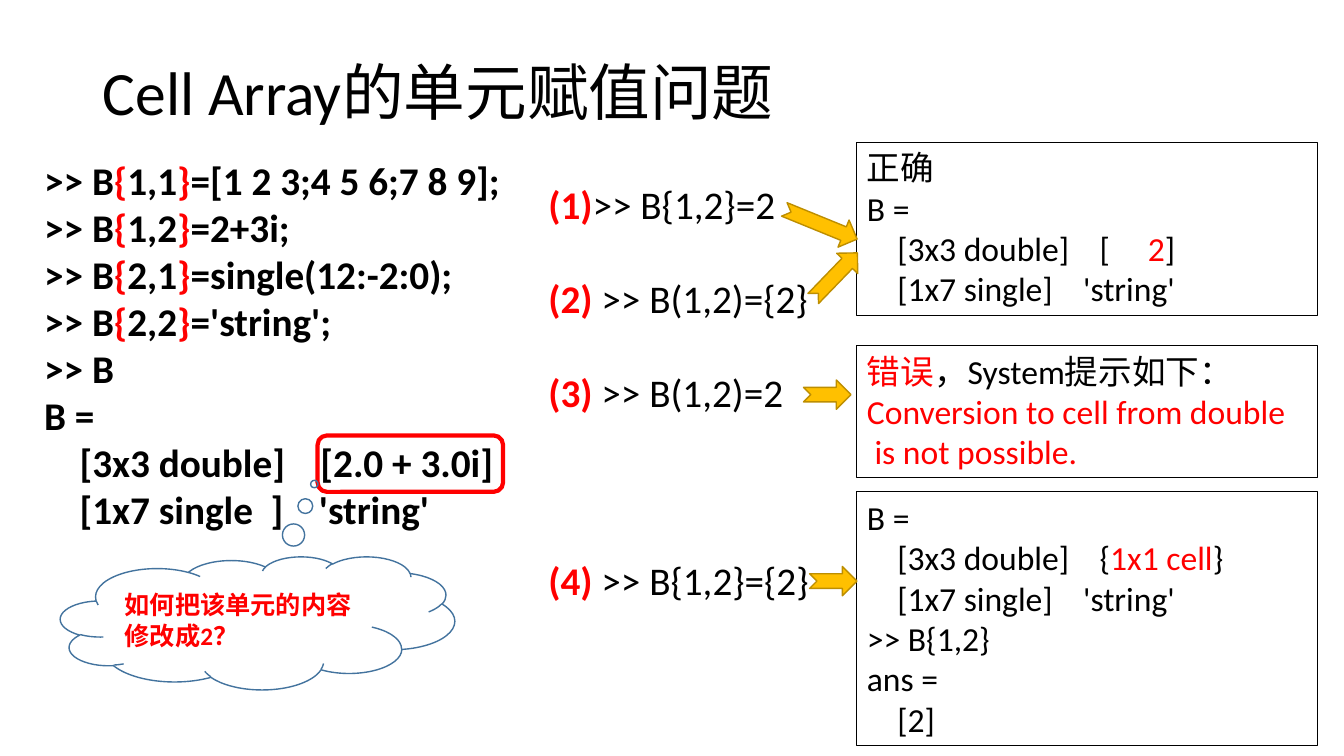
from dataclasses import dataclass
from pptx import Presentation
from pptx.dml.color import RGBColor
from pptx.enum.shapes import MSO_SHAPE
from pptx.enum.text import MSO_ANCHOR, PP_ALIGN
from pptx.util import Pt

PX = 9144  # 100 px to the inch


@dataclass(frozen=True)
class Theme:
    font: str = "Calibri"
    ink: RGBColor = RGBColor(0, 0, 0)
    red: RGBColor = RGBColor(255, 0, 0)
    gold: RGBColor = RGBColor(0xFF, 0xC0, 0)
    edge: RGBColor = RGBColor(0xBD, 0x8E, 0)
    blue: RGBColor = RGBColor(0x43, 0x73, 0x9E)
    title: int = 44
    code: int = 28
    note: int = 24
    cloud: int = 18


T = Theme()

ENTRY = [
    ">> B|{|1,1|}|=[1 2 3;4 5 6;7 8 9];",
    ">> B|{|1,2|}|=2+3i;",
    ">> B|{|2,1|}|=single(12:-2:0);",
    ">> B|{|2,2|}|='string';",
    ">> B",
    "B =",
    "    [3x3 double]    [2.0 + 3.0i]",
    "    [1x7 single  ]    'string'",
]
# Each trial: line, blank lines above it
TRIALS = [
    ("|(1)|>> B{1,2}=2", 0),
    ("|(2)| >> B(1,2)={2}", 1),
    ("|(3)| >> B(1,2)=2", 1),
    ("|(4)| >> B{1,2}={2}", 3),
]
# Each result: top, height, lines
RESULTS = [
    (488, 252, ["B =", "    [3x3 double]    {|1x1 cell|}",
                "    [1x7 single]    'string'", ">> B{1,2}", "ans =", "    [2]"]),
    (343, 131, ["|错误|，System提示如下：",
                "|Conversion to cell from double", "| is not possible."]),
    (141, 172, ["正确", "B =", "    [3x3 double]    [     |2|]",
                "    [1x7 single]    'string'"]),
]
# Each arrow: left, top, width, turn
ARROWS = [(803, 562, 47, 0), (797, 377, 47, 0),
          (775, 208, 78, 22.2), (797, 259, 63, 314)]


def write(frame, lines, size, bold=False, mark=False, anchor=MSO_ANCHOR.TOP, wrap=True):
    """Fill a frame; the odd parts between bars are red, and bold if mark."""
    frame.word_wrap = wrap
    frame.vertical_anchor = anchor
    for i, line in enumerate(lines):
        para = frame.paragraphs[0] if i == 0 else frame.add_paragraph()
        para.alignment = PP_ALIGN.LEFT
        para.font.name, para.font.size = T.font, Pt(size)
        para.font.bold = bold
        for j, part in enumerate(line.split("|")):
            if part:
                run = para.add_run()
                run.text = part
                run.font.color.rgb = T.red if j % 2 else T.ink
                if mark:
                    run.font.bold = j % 2 == 1
    return frame


def text(slide, box, lines, size, **style):
    area = slide.shapes.add_textbox(*(n * PX for n in box))
    return write(area.text_frame, lines, size, **style)


def draw(slide, kind, box, line, width, fill=None):
    shape = slide.shapes.add_shape(kind, *(n * PX for n in box))
    shape.shadow.inherit = False
    if fill is None:
        shape.fill.background()
    else:
        shape.fill.solid()
        shape.fill.fore_color.rgb = fill
    shape.line.color.rgb = line
    shape.line.width = Pt(width)
    return shape


def title(slide, box):
    frame = text(slide, box, ["Cell Array的单元赋值问题"], T.title, anchor=MSO_ANCHOR.MIDDLE)
    frame.paragraphs[0].line_spacing = 0.9


def entry(slide, box):
    left, top, wide, high = box
    text(slide, box, ENTRY, T.code, bold=True)
    # Ring around the cell in question
    draw(slide, MSO_SHAPE.ROUNDED_RECTANGLE, (left + 281, top + 282, 184, 56), T.red, 3)
    # Question cloud pointing at the ring
    cloud = draw(slide, MSO_SHAPE.CLOUD_CALLOUT, (left + 26, top + 402, 391, 132), T.blue, 1)
    cloud.adjustments[0], cloud.adjustments[1] = 0.144, -1.044
    write(cloud.text_frame, ["|如何把该单元的内容修改成2？"], T.cloud, bold=True,
          anchor=MSO_ANCHOR.MIDDLE)


def trials(slide, box):
    frame = text(slide, box, [line for line, gap in TRIALS], T.code, mark=True, wrap=False)
    for para, (line, gap) in zip(frame.paragraphs, TRIALS):
        if gap:
            para.space_before = Pt(gap * T.code * 1.2)


def results(slide, left, wide):
    for top, high, lines in RESULTS:
        panel = draw(slide, MSO_SHAPE.RECTANGLE, (left, top, wide, high), T.ink, 0.75)
        write(panel.text_frame, lines, T.note)


def arrows(slide):
    for left, top, wide, turn in ARROWS:
        arrow = draw(slide, MSO_SHAPE.NOTCHED_RIGHT_ARROW, (left, top, wide, 29),
                     T.edge, 1, T.gold)
        arrow.rotation = turn


def main():
    deck = Presentation()
    deck.slide_width, deck.slide_height = 1333 * PX, 750 * PX
    slide = deck.slides.add_slide(deck.slide_layouts[6])
    title(slide, (92, 40, 700, 110))
    entry(slide, (34, 150, 524, 387))
    trials(slide, (534, 174, 282, 434))
    results(slide, 850, 457)
    arrows(slide)
    deck.save("out.pptx")


if __name__ == "__main__":
    main()
